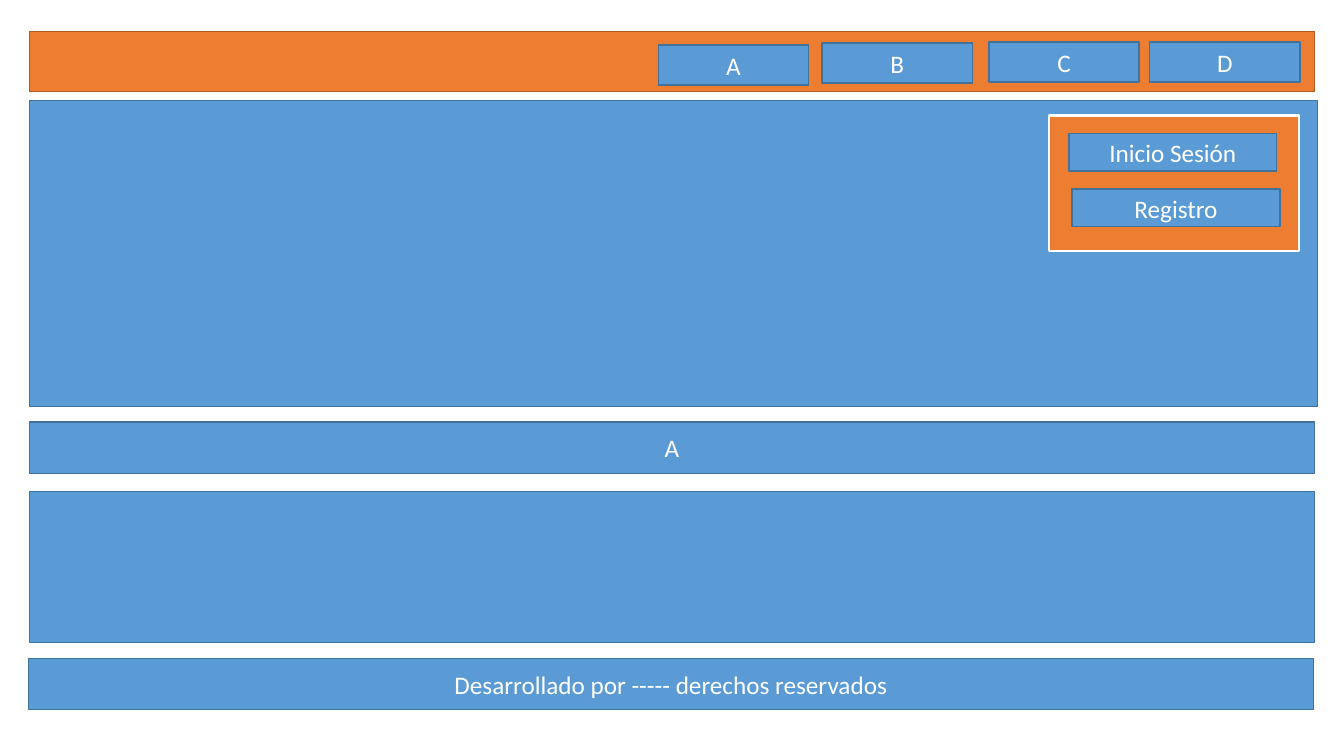
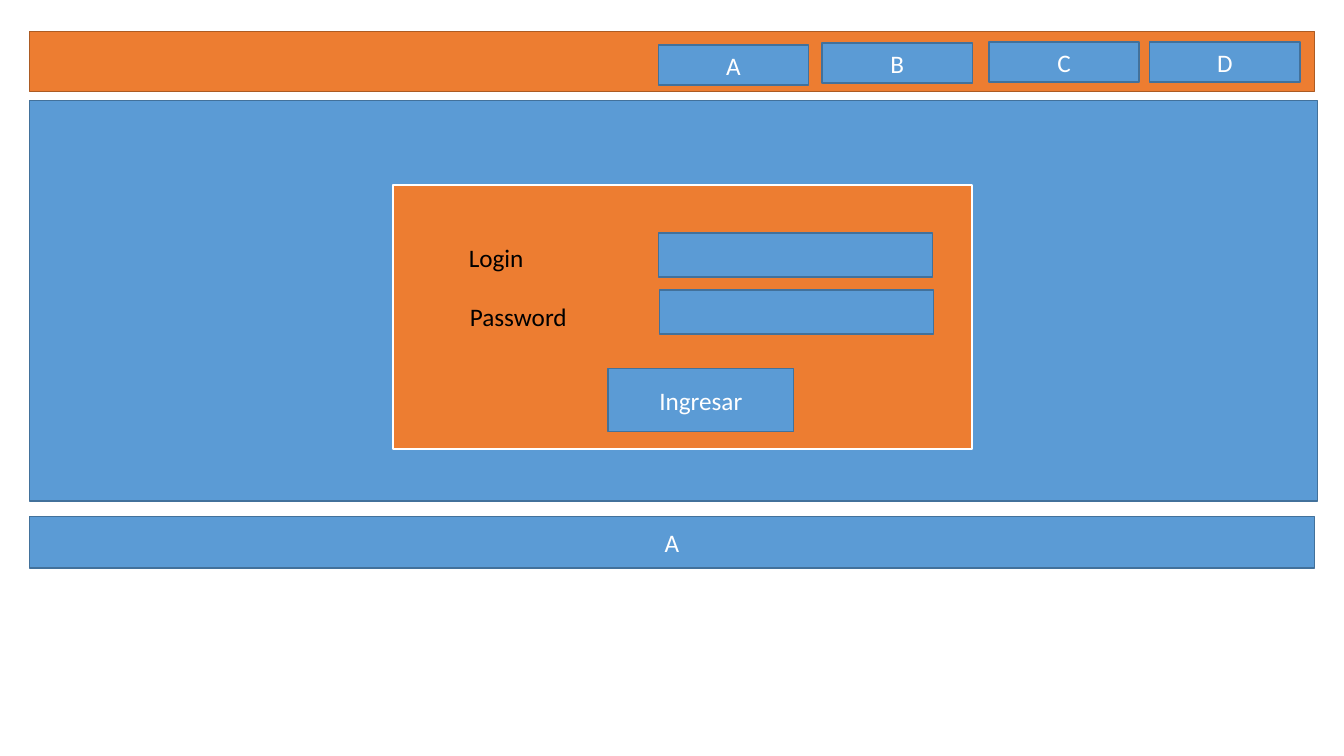
from pptx import Presentation
from pptx.dml.color import RGBColor
from pptx.enum.shapes import MSO_SHAPE
from pptx.enum.text import MSO_ANCHOR, PP_ALIGN
from pptx.util import Pt

RECTANGLE = MSO_SHAPE.RECTANGLE
MIDDLE = MSO_ANCHOR.MIDDLE
LEFT, CENTER = PP_ALIGN.LEFT, PP_ALIGN.CENTER

PX = 9525  # EMU in one px, 96 px to the inch
COLORS = {
    "blue": "5B9BD5",
    "blue line": "42719B",
    "orange": "ED7D31",
    "orange line": "AC5B23",
    "white": "FFFFFF",
    "black": "000000",
}
# Box styles: fill, line, line width in points
BLUE = ("blue", "blue line", 1)
BAR = ("orange", "orange line", 1)
PANEL = ("orange", "white", 1.5)

# Shared page frame
MARGIN, BAND_WIDTH = 28, 1224
HERO_TOP, HERO_WIDTH = 96, 1227
STRIP_HEIGHT, GAP = 49, 15
TABS = [("A", 627, 43), ("B", 783, 41), ("C", 942, 40), ("D", 1095, 40)]


def write(box, text, color, align):
    frame = box.text_frame
    frame.word_wrap = True
    frame.vertical_anchor = MIDDLE
    frame.text = text
    para = frame.paragraphs[0]
    para.alignment = align
    font = para.runs[0].font
    font.name, font.size = "Calibri", Pt(18)
    font.color.rgb = RGBColor.from_string(COLORS[color])


def add_box(page, left, top, width, height, style=BLUE, text=""):
    fill, line, weight = style
    box = page.shapes.add_shape(
        RECTANGLE, left * PX, top * PX, width * PX, height * PX)
    box.shadow.inherit = False
    box.fill.solid()
    box.fill.fore_color.rgb = RGBColor.from_string(COLORS[fill])
    box.line.color.rgb = RGBColor.from_string(COLORS[line])
    box.line.width = Pt(weight)
    if text:
        write(box, text, "white", CENTER)


deck = Presentation()
deck.slide_width, deck.slide_height = 1280 * PX, 720 * PX
blank = deck.slide_layouts[6]

# Header, tabs, hero and strip of both pages
pages = []
for hero_height in (291, 381):
    page = deck.slides.add_slide(blank)
    add_box(page, MARGIN, 30, BAND_WIDTH, 57, BAR)
    add_box(page, MARGIN, HERO_TOP, HERO_WIDTH, hero_height)
    add_box(page, MARGIN, HERO_TOP + hero_height + GAP, BAND_WIDTH,
            STRIP_HEIGHT, text="A")
    for name, left, top in TABS:
        add_box(page, left, top, 143, 38, text=name)
    pages.append(page)
home, login = pages

# Home: account panel, content area and footer
add_box(home, 999, 110, 238, 129, PANEL)
for name, left, top in [("Inicio Sesión", 1018, 127), ("Registro", 1021, 180)]:
    add_box(home, left, top, 198, 36, text=name)
add_box(home, MARGIN, 468, BAND_WIDTH, 144)
add_box(home, 27, 627, BAND_WIDTH, STRIP_HEIGHT,
        text="Desarrollado por ----- derechos reservados")

# Login: form panel, labelled fields and button
add_box(login, 374, 176, 552, 252, PANEL)
for name, label_left, label_top, field_left, field_top in [
        ("Login", 437, 224, 627, 222),
        ("Password", 438, 280, 628, 276)]:
    label = login.shapes.add_textbox(
        label_left * PX, label_top * PX, 169 * PX, 42 * PX)
    write(label, name, "black", LEFT)
    add_box(login, field_left, field_top, 261, 42)
add_box(login, 579, 351, 177, 60, text="Ingresar")

deck.save("out.pptx")
